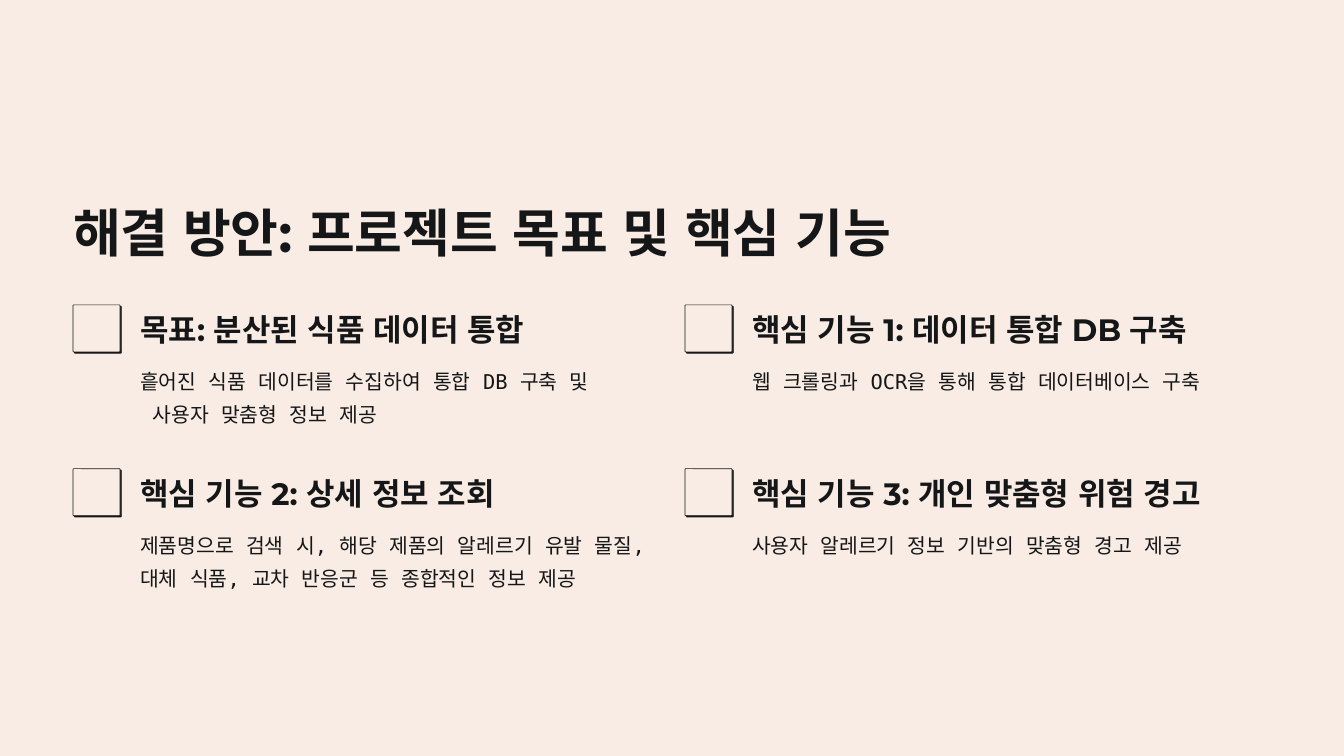
from lxml import etree
from pptx import Presentation, util as u
from pptx.dml.color import RGBColor
from pptx.enum import shapes, text
from pptx.oxml.ns import qn

TITLE = "해결 방안: 프로젝트 목표 및 핵심 기능"
ITEMS = [
    ("목표: 분산된 식품 데이터 통합",
     ["흩어진 식품 데이터를 수집하여 통합 DB 구축 및", " 사용자 맞춤형 정보 제공"]),
    ("핵심 기능 1: 데이터 통합 DB 구축",
     ["웹 크롤링과 OCR을 통해 통합 데이터베이스 구축"]),
    ("핵심 기능 2: 상세 정보 조회",
     ["제품명으로 검색 시, 해당 제품의 알레르기 유발 물질,",
      "대체 식품, 교차 반응군 등 종합적인 정보 제공"]),
    ("핵심 기능 3: 개인 맞춤형 위험 경고",
     ["사용자 알레르기 정보 기반의 맞춤형 경고 제공"]),
]
PAPER, INK = "F8ECE4", "151617"
HEADING_FONT, BODY_FONT = "Montserrat", "DejaVu Sans Mono"

# Grid in inches
WIDTH, HEIGHT = 16, 9
COLUMNS = 2
LEFT, TOP = 0.87, 3.63
COLUMN_STEP, ROW_STEP = 7.285, 1.95
BOX = 0.56
TEXT_INDENT = 0.8
TEXT_WIDTH = 6.17


def color(hex_string):
    return RGBColor.from_string(hex_string)


def add_text(slide, lines, left, top, width, height, *, font, size, spacing,
             bold=False):
    box = slide.shapes.add_textbox(*map(u.Inches, (left, top, width, height)))
    frame = box.text_frame
    frame.margin_left = frame.margin_right = 0
    frame.margin_top = frame.margin_bottom = 0
    frame.word_wrap = True
    frame.vertical_anchor = text.MSO_ANCHOR.TOP
    for index, line in enumerate(lines):
        paragraph = frame.add_paragraph() if index else frame.paragraphs[0]
        paragraph.line_spacing = u.Pt(spacing)
        run = paragraph.add_run()
        run.text = line
        run.font.size = u.Pt(size)
        run.font.bold = bold
        run.font.color.rgb = color(INK)
        run.font.name = font
        for script in ("a:ea", "a:cs"):
            etree.SubElement(run.font._element, qn(script), typeface=font)


def add_panel(slide, preset, left, top, width, height):
    """Add a paper-coloured shape with no outline or shadow."""
    panel = slide.shapes.add_shape(
        preset, *map(u.Inches, (left, top, width, height)))
    panel.shadow.inherit = False
    panel.fill.solid()
    panel.fill.fore_color.rgb = color(PAPER)
    panel.line.fill.background()
    return panel


def add_hard_shadow(shape, distance, angle):
    """Give the shape an opaque, unblurred shadow."""
    effects = shape._element.spPr.find(qn("a:effectLst"))
    shadow = etree.SubElement(
        effects, qn("a:outerShdw"), blurRad="0", dist=str(u.Pt(distance)),
        dir=str(angle * 60000), algn="bl", rotWithShape="0")
    etree.SubElement(shadow, qn("a:srgbClr"), val=INK)


def add_checkbox(slide, left, top):
    box = add_panel(slide, shapes.MSO_SHAPE.ROUNDED_RECTANGLE,
                    left, top, BOX, BOX)
    box.adjustments[0] = 0.018
    box.line.color.rgb = color(INK)
    box.line.width = u.Pt(0.6)
    add_hard_shadow(box, distance=1.6, angle=45)


def main():
    presentation = Presentation()
    presentation.slide_width = u.Inches(WIDTH)
    presentation.slide_height = u.Inches(HEIGHT)
    slide = presentation.slides.add_slide(presentation.slide_layouts[6])
    add_panel(slide, shapes.MSO_SHAPE.RECTANGLE, 0, 0, WIDTH, HEIGHT)

    add_text(slide, [TITLE], LEFT, 2.36, WIDTH - 2 * LEFT, 0.78,
             font=HEADING_FONT, size=44.5, spacing=55.5, bold=True)
    for index, (heading, body) in enumerate(ITEMS):
        row, column = divmod(index, COLUMNS)
        left = LEFT + column * COLUMN_STEP
        top = TOP + row * ROW_STEP
        text_left = left + TEXT_INDENT
        add_checkbox(slide, left, top)
        add_text(slide, [heading], text_left, top + 0.05, TEXT_WIDTH, 0.47,
                 font=HEADING_FONT, size=26.5, spacing=33, bold=True)
        add_text(slide, body, text_left, top + 0.66, TEXT_WIDTH, 0.79,
                 font=BODY_FONT, size=17.5, spacing=28.5)

    presentation.save("out.pptx")


if __name__ == "__main__":
    main()
